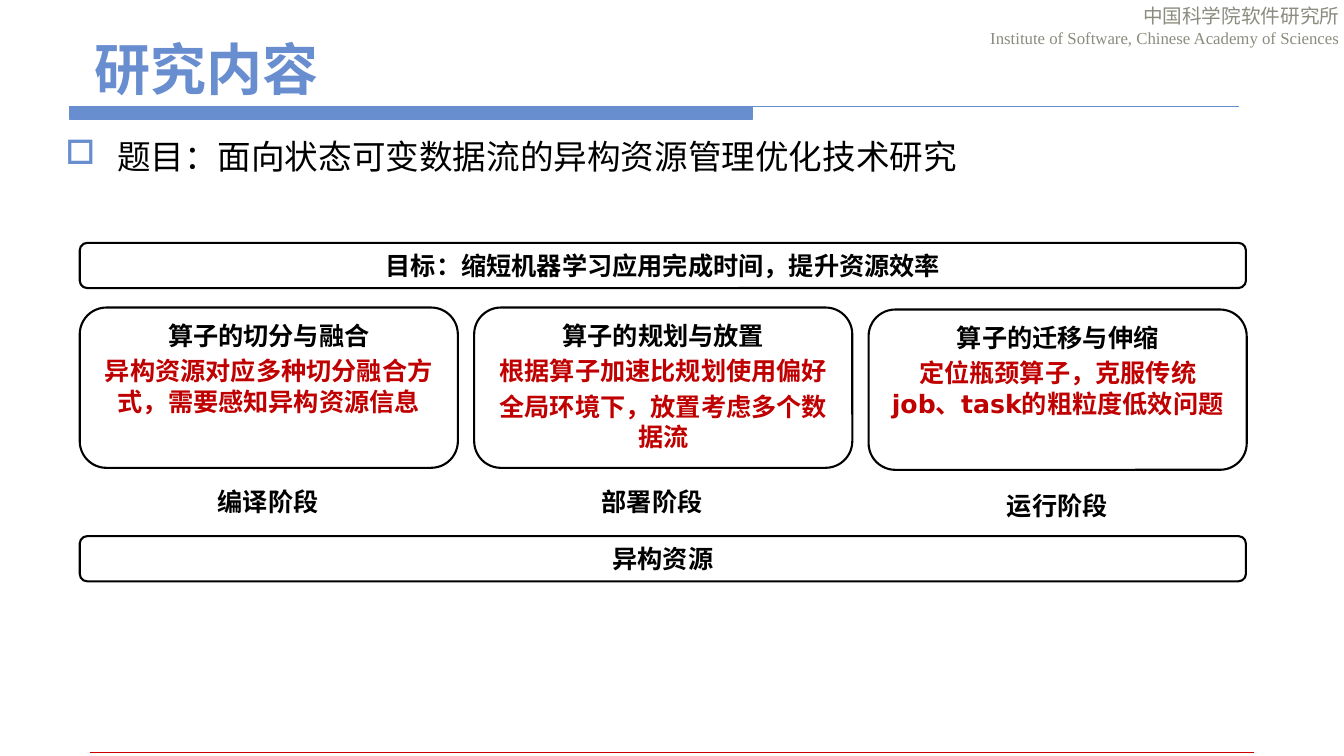
"""Build the research content slide with its goal, three stages and resource bar."""
from lxml import etree
from pptx import Presentation
from pptx.dml.color import RGBColor
from pptx.enum.shapes import MSO_CONNECTOR, MSO_SHAPE
from pptx.enum.text import MSO_ANCHOR, PP_ALIGN
from pptx.oxml.ns import qn
from pptx.util import Cm, Pt

BLUE = RGBColor(0x69, 0x8E, 0xCF)
GREY = RGBColor(0x8B, 0x8B, 0x7F)
BLACK = RGBColor(0, 0, 0)
RED = RGBColor(0xC0, 0, 0)
RULE = RGBColor(0xCC, 0, 0)
ROUND = MSO_SHAPE.ROUNDED_RECTANGLE
LINE = MSO_CONNECTOR.STRAIGHT
LEFT, CENTER, RIGHT = PP_ALIGN.LEFT, PP_ALIGN.CENTER, PP_ALIGN.RIGHT
TOP, BOTTOM = MSO_ANCHOR.TOP, MSO_ANCHOR.BOTTOM
SANS = "DejaVu Sans"


def write(shape, rows, align=CENTER, size=18, face=SANS, bold=True, gap=0.2):
    frame = shape.text_frame
    frame.word_wrap = True
    frame.vertical_anchor = TOP
    for i, (text, color) in enumerate(rows):
        para = frame.add_paragraph() if i else frame.paragraphs[0]
        para.alignment = align
        para.space_before = Pt(size * gap)
        run = para.add_run()
        run.text = text
        font = run.font
        font.size, font.name, font.bold = Pt(size), face, bold
        font.color.rgb = color
        etree.SubElement(font._element, qn("a:ea"), typeface=face)
    return frame


def box(left, top, width, height, rows):
    shape = slide.shapes.add_shape(ROUND, Cm(left), Cm(top), Cm(width), Cm(height))
    shape.shadow.inherit = False
    shape.fill.background()
    shape.line.color.rgb = BLACK
    shape.line.width = Pt(1.5)
    write(shape, rows)


deck = Presentation()
deck.slide_width, deck.slide_height = Cm(33.87), Cm(19.05)
slide = deck.slides.add_slide(deck.slide_layouts[6])
shapes = slide.shapes

band = shapes.build_freeform(Cm(1.75), Cm(2.69))
band.add_line_segments([(Cm(18.97), Cm(2.69)), (Cm(18.97), Cm(3)), (Cm(1.75), Cm(3))])
band.move_to(Cm(1.75), Cm(2.69))
band.add_line_segments([(Cm(31.22), Cm(2.69))], close=False)
band = band.convert_to_shape()
band.shadow.inherit = False
band.fill.solid()
band.fill.fore_color.rgb = BLUE
band.line.color.rgb = BLUE
band.line.width = Pt(0.75)

foot = shapes.add_connector(LINE, Cm(2.26), Cm(18.95), Cm(31.6), Cm(18.95))
foot.line.color.rgb = RULE
foot.line.width = Pt(0.25)
etree.SubElement(foot._element.spPr, qn("a:effectLst"))

head = shapes.add_textbox(Cm(19.61), Cm(-0.03), Cm(14.4), Cm(1.37))
write(head, [("中国科学院软件研究所", GREY)], RIGHT, 14, "Noto Sans CJK SC", False, 0)
para = head.text_frame.add_paragraph()
para.alignment = RIGHT
run = para.add_run()
run.text = "Institute of Software, Chinese Academy of Sciences"
run.font.size, run.font.name = Pt(12), "Times New Roman"
run.font.color.rgb = GREY

title = shapes.add_textbox(Cm(2.13), Cm(0.84), Cm(29.64), Cm(1.85))
frame = write(title, [("研究内容", BLUE)], LEFT, 40, "Cabin", gap=0)
frame.vertical_anchor = BOTTOM

topic = shapes.add_textbox(Cm(1.4), Cm(3.3), Cm(29.11), Cm(1.37))
text = "题目：面向状态可变数据流的异构资源管理优化技术研究"
frame = write(topic, [(text, BLACK)], LEFT, 24, "Cabin", False)
props = frame.paragraphs[0]._p.get_or_add_pPr()
props.set("marL", str(Cm(1.3)))
props.set("indent", str(-Cm(1.3)))
tint = etree.SubElement(props, qn("a:buClr"))
etree.SubElement(tint, qn("a:srgbClr"), val=str(BLUE))
etree.SubElement(props, qn("a:buChar"), char="□")

BARS = [(6.12, "目标：缩短机器学习应用完成时间，提升资源效率"), (13.51, "异构资源")]
for top, text in BARS:
    box(2.01, top, 29.39, 1.14, [(text, BLACK)])

CARDS = [
    (7.75, "算子的切分与融合", ["异构资源对应多种切分融合方式，需要感知异构资源信息"]),
    (7.75, "算子的规划与放置", ["根据算子加速比规划使用偏好", "全局环境下，放置考虑多个数据流"]),
    (7.8, "算子的迁移与伸缩", ["定位瓶颈算子，克服传统job、task的粗粒度低效问题"]),
]
for i, (top, name, notes) in enumerate(CARDS):
    rows = [(name, BLACK)] + [(note, RED) for note in notes]
    box(2.01 + 9.94 * i, top, 9.53, 4.04, rows)

STAGES = [(2.59, 12.14, "编译阶段"), (12.27, 12.14, "部署阶段"), (22.48, 12.24, "运行阶段")]
for left, top, text in STAGES:
    label = shapes.add_textbox(Cm(left), Cm(top), Cm(8.33), Cm(1.02))
    write(label, [(text, BLACK)])

deck.save("out.pptx")
